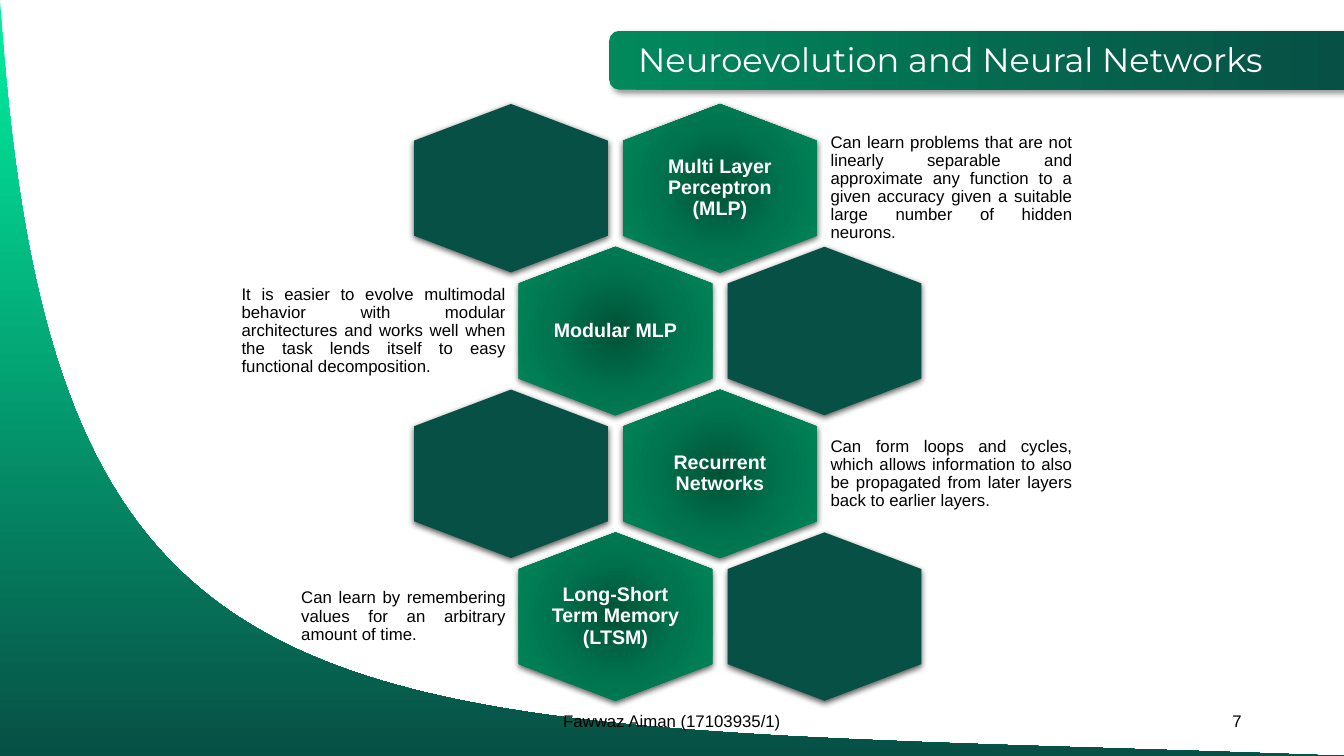
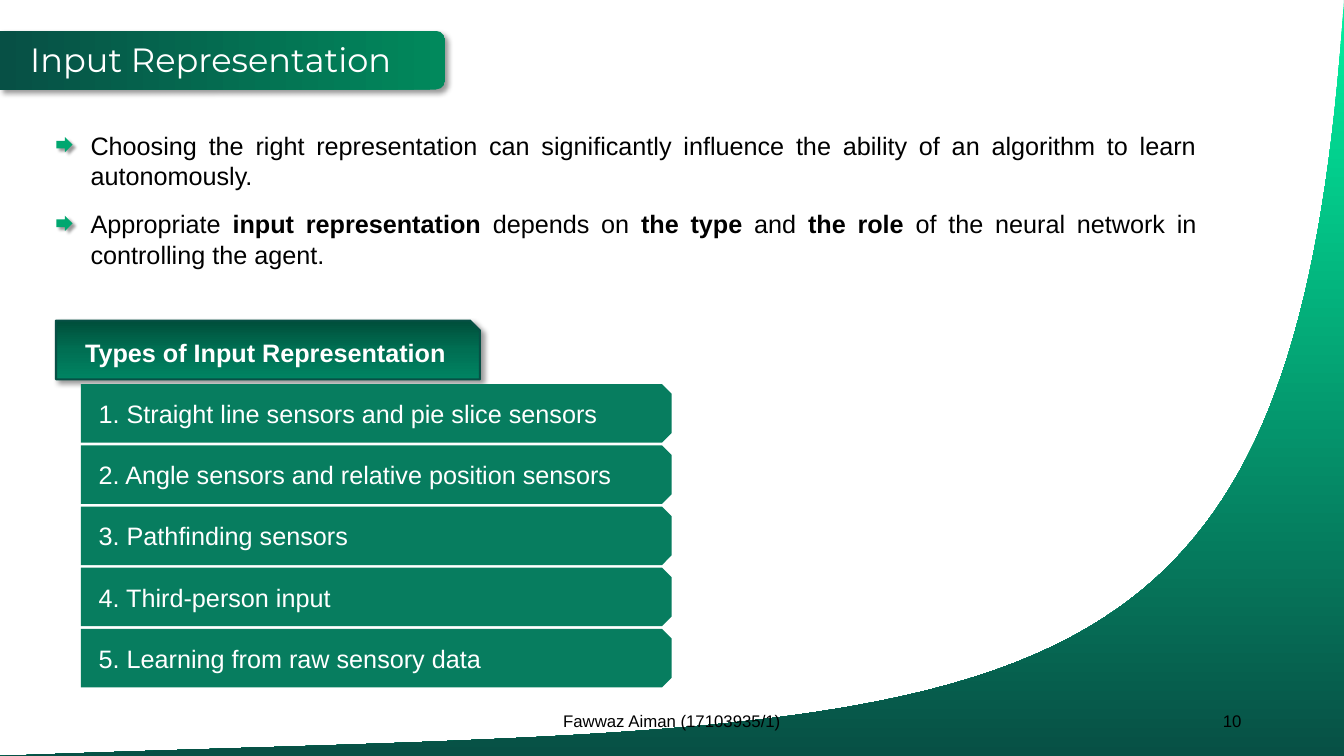
from lxml import etree
from pptx import Presentation
from pptx.dml.color import RGBColor
from pptx.enum import shapes, text
from pptx.oxml import ns
from pptx.util import Pt

# ---- Shared look ----
COLORS = {
    "white": "FFFFFF", "black": "000000", "dark": "075045",
    "arrow": "01A770", "row": "077D5F",
}
GRADIENTS = {
    "band": [(0, "01895C"), (100, "075045")],
    "curve": [(0, "01F1A0"), (100, "075045")],
    "hexagon": [(0, "005237"), (50, "00744E"), (100, "008A5C")],
    "heading": [(0, "004E3A"), (50, "006F53"), (100, "008462")],
}
# Opacity in percent, blur, distance, direction in degrees
SHADOWS = {
    "corner": (40, 4, 3, 45),
    "small": (40, 2, 3, 45),
    "below": (63, 4.5, 1.5, 90),
}
LEFT, CENTER, RIGHT, JUSTIFY = (
    text.PP_ALIGN.LEFT, text.PP_ALIGN.CENTER, text.PP_ALIGN.RIGHT, text.PP_ALIGN.JUSTIFY)
STYLES = {
    "title": dict(font=dict(name="Montserrat", size=Pt(24), bold=False), color="white",
                  paragraph=dict(alignment=LEFT)),
    "footer": dict(font=dict(name="Arial", size=Pt(12)), color="black",
                   paragraph=dict(alignment=CENTER)),
    "number": dict(font=dict(name="Arial", size=Pt(12)), color="black",
                   paragraph=dict(alignment=RIGHT)),
    "hexagon": dict(font=dict(name="Arial", size=Pt(14), bold=True), color="white",
                    paragraph=dict(alignment=CENTER, line_spacing=0.9)),
    "note": dict(font=dict(name="Arial", size=Pt(12)), color="black",
                 paragraph=dict(alignment=JUSTIFY, line_spacing=0.9)),
    "bullet": dict(font=dict(name="Arial", size=Pt(18)), color="black",
                   paragraph=dict(alignment=JUSTIFY)),
    "heading": dict(font=dict(name="Arial", size=Pt(18), bold=True), color="white",
                    paragraph=dict(alignment=CENTER)),
    "row": dict(font=dict(name="Arial", size=Pt(18)), color="white",
                paragraph=dict(alignment=LEFT)),
}
SLIDE_WIDTH, SLIDE_HEIGHT = 960, 540
BAND_TOP, BAND_HEIGHT = 22, 42
CURVE = [(0, 0), (36, 555), (237, 513.5), (960, 540)]
CURVE_STEPS = 80
FOOTER = "Fawwaz Aiman (17103935/1)"

# ---- Content ----
NETWORKS_SLIDE = dict(
    title="Neuroevolution and Neural Networks", number="7", side="right",
    band=(435.2, 524.8), title_box=(448.6, 502.6))
# Name, note, note width
NETWORKS = [
    ("Multi Layer Perceptron (MLP)",
     "Can learn problems that are not linearly separable and approximate any function "
     "to a given accuracy given a suitable large number of hidden neurons.", 180),
    ("Modular MLP",
     "It is easier to evolve multimodal behavior with modular architectures and works well "
     "when the task lends itself to easy functional decomposition.", 196),
    ("Recurrent Networks",
     "Can form loops and cycles, which allows information to also be propagated from later "
     "layers back to earlier layers.", 180),
    ("Long-Short Term Memory (LTSM)",
     "Can learn by remembering values for an arbitrary amount of time.", 153.4),
]
INPUT_SLIDE = dict(
    title="Input Representation", number="10", side="left",
    band=(0, 318.2), title_box=(14.4, 337.6))
# Each bullet is a list of (text, bold)
BULLETS = [
    [("Choosing the right representation can significantly influence the ability of an "
      "algorithm to learn autonomously.", False)],
    [("Appropriate ", False), ("input representation ", True), ("depends on ", False),
     ("the type", True), (" and ", False), ("the role ", True),
     ("of the neural network in controlling the agent.", False)],
]
HEADING = "Types of Input Representation"
INPUT_TYPES = [
    "1. Straight line sensors and pie slice sensors",
    "2. Angle sensors and relative position sensors",
    "3. Pathfinding sensors",
    "4. Third-person input",
    "5. Learning from raw sensory data",
]


# ---- Helpers ----
def apply(target, values):
    for name, value in values.items():
        setattr(target, name, value)


def rgb(name):
    return RGBColor.from_string(COLORS[name])


def add_xml(parent, tag, **attributes):
    return etree.SubElement(parent, ns.qn(tag), {k: str(v) for k, v in attributes.items()})


def set_gradient(shape, stops, radial=False):
    shape.fill.background()
    properties = shape.element.spPr
    gradient = etree.Element(ns.qn("a:gradFill"), rotWithShape="1")
    stop_list = add_xml(gradient, "a:gsLst")
    for position, color in stops:
        stop = add_xml(stop_list, "a:gs", pos=position * 1000)
        add_xml(stop, "a:srgbClr", val=color)
    if radial:
        circle = add_xml(gradient, "a:path", path="circle")
        add_xml(circle, "a:fillToRect", l=50000, t=50000, r=50000, b=50000)
    else:
        add_xml(gradient, "a:lin", ang=90 * 60000, scaled=0)
    properties.replace(properties.find(ns.qn("a:noFill")), gradient)


def set_shadow(shape, shadow):
    opacity, blur, distance, direction = SHADOWS[shadow]
    effects = shape.element.spPr.find(ns.qn("a:effectLst"))
    outer = add_xml(effects, "a:outerShdw", blurRad=int(Pt(blur)), dist=int(Pt(distance)),
                    dir=direction * 60000, algn="ctr", rotWithShape=0)
    color = add_xml(outer, "a:srgbClr", val=COLORS["black"])
    add_xml(color, "a:alpha", val=opacity * 1000)


def paint(shape, fill=None, gradient=None, radial=False, shadow=None):
    shape.shadow.inherit = False
    shape.line.fill.background()
    if gradient:
        set_gradient(shape, GRADIENTS[gradient], radial)
    else:
        shape.fill.solid()
        shape.fill.fore_color.rgb = rgb(fill)
    if shadow:
        set_shadow(shape, shadow)
    return shape


def write(shape, runs, style, anchor=text.MSO_ANCHOR.MIDDLE, insets=(7.2, 3.6)):
    """Write a string, or a list of (text, bold), as one paragraph."""
    look = STYLES[style]
    horizontal, vertical = map(Pt, insets)
    frame = shape.text_frame
    apply(frame, dict(word_wrap=True, auto_size=text.MSO_AUTO_SIZE.NONE,
                      vertical_anchor=anchor, margin_left=horizontal, margin_right=horizontal,
                      margin_top=vertical, margin_bottom=vertical))
    paragraph = frame.paragraphs[0]
    apply(paragraph, look["paragraph"])
    for words, bold in [(runs, None)] if isinstance(runs, str) else runs:
        run = paragraph.add_run()
        run.text = words
        apply(run.font, look["font"])
        run.font.color.rgb = rgb(look["color"])
        if bold is not None:
            run.font.bold = bold


def add_text(slide, box, runs, style, **options):
    write(slide.shapes.add_textbox(*map(Pt, box)), runs, style, **options)


def add_preset(slide, preset, box, **look):
    return paint(slide.shapes.add_shape(preset, *map(Pt, box)), **look)


def add_sideways(slide, preset, box, rotation, **look):
    """Turn a preset on its side so that it fills the given box."""
    left, top, width, height = box
    shift = (width - height) / 2
    shape = add_preset(slide, preset, (left + shift, top - shift, height, width), **look)
    shape.rotation = rotation


def add_outline(slide, points, **look):
    points = [(Pt(x), Pt(y)) for x, y in points]
    builder = slide.shapes.build_freeform(*points[0])
    builder.add_line_segments(points[1:], close=True)
    return paint(builder.convert_to_shape(), **look)


def curve_points(mirrored):
    points = []
    for step in range(CURVE_STEPS + 1):
        t = step / CURVE_STEPS
        weights = ((1 - t) ** 3, 3 * t * (1 - t) ** 2, 3 * t * t * (1 - t), t ** 3)
        points.append(tuple(sum(w * p[axis] for w, p in zip(weights, CURVE))
                            for axis in (0, 1)))
    points.append((0, SLIDE_HEIGHT))
    return [(SLIDE_WIDTH - x, y) for x, y in points] if mirrored else points


# ---- Slides ----
def add_slide(presentation, title, number, side, band, title_box):
    """Add a slide with title band, corner curve and footer."""
    slide = presentation.slides.add_slide(presentation.slide_layouts[5])
    band_left, band_width = band
    add_sideways(slide, shapes.MSO_SHAPE.ROUND_2_SAME_RECTANGLE,
                 (band_left, BAND_TOP, band_width, BAND_HEIGHT),
                 270 if side == "right" else 90, gradient="band", shadow="corner")
    add_outline(slide, curve_points(side == "left"), gradient="curve")
    # The title stands in front of its band
    heading = slide.shapes.title
    left, width = title_box
    apply(heading, dict(left=Pt(left), top=Pt(24.5), width=Pt(width), height=Pt(36)))
    write(heading, title, "title", anchor=text.MSO_ANCHOR.TOP)
    heading.element.getparent().append(heading.element)
    add_text(slide, (318, 500.5, 324, 28.8), FOOTER, "footer")
    add_text(slide, (678, 500.5, 216, 28.8), number, "number")
    return slide


def build_networks(presentation):
    slide = add_slide(presentation, **NETWORKS_SLIDE)
    width, height, slope = 138.4, 120.3, 26.2
    first_left, first_top, column_step, row_step = 295.8, 74.3, 149.3, 102
    notes_left, notes_right, note_height = 589.7, 365, 72
    for row, (name, note, note_width) in enumerate(NETWORKS):
        top = first_top + row * row_step
        odd = row % 2
        named_column = 0 if odd else 1
        for column in (0, 1):
            left = first_left + (column + odd / 2) * column_step
            right, middle, bottom = left + width, left + width / 2, top + height
            points = [(middle, top), (right, top + slope), (right, bottom - slope),
                      (middle, bottom), (left, bottom - slope), (left, top + slope)]
            if column == named_column:
                hexagon = add_outline(slide, points, gradient="hexagon", radial=True,
                                      shadow="below")
                write(hexagon, name, "hexagon", insets=(19.4, 22.3))
            else:
                add_outline(slide, points, fill="dark", shadow="below")
        note_left = notes_right - note_width if odd else notes_left
        add_text(slide, (note_left, top + (height - note_height) / 2, note_width, note_height),
                 note, "note", insets=(3.6, 3.6))


def build_inputs(presentation):
    slide = add_slide(presentation, **INPUT_SLIDE)
    # Arrow bullets
    for index, runs in enumerate(BULLETS):
        top = 89.3 + index * 56.2
        add_text(slide, (57.6, top, 804.2, 51), runs, "bullet", anchor=text.MSO_ANCHOR.TOP)
        add_preset(slide, shapes.MSO_SHAPE.RIGHT_ARROW, (40.3, top + 8.6, 11.5, 10.8),
                   fill="arrow", shadow="small")
    # Heading and list of types
    heading = add_preset(slide, shapes.MSO_SHAPE.SNIP_1_RECTANGLE, (40, 229, 302.8, 42),
                         gradient="heading", shadow="corner")
    heading.line.color.rgb = rgb("dark")
    heading.line.width = Pt(1.5)
    write(heading, HEADING, "heading")
    for index, words in enumerate(INPUT_TYPES):
        top = 274.4 + index * 43.7
        add_sideways(slide, shapes.MSO_SHAPE.SNIP_2_SAME_RECTANGLE, (57.8, top, 422, 41.8),
                     90, fill="row")
        add_text(slide, (63.4, top, 411, 41.8), words, "row")


def main():
    presentation = Presentation()
    apply(presentation, dict(slide_width=Pt(SLIDE_WIDTH), slide_height=Pt(SLIDE_HEIGHT)))
    build_networks(presentation)
    build_inputs(presentation)
    presentation.save("out.pptx")


if __name__ == "__main__":
    main()
